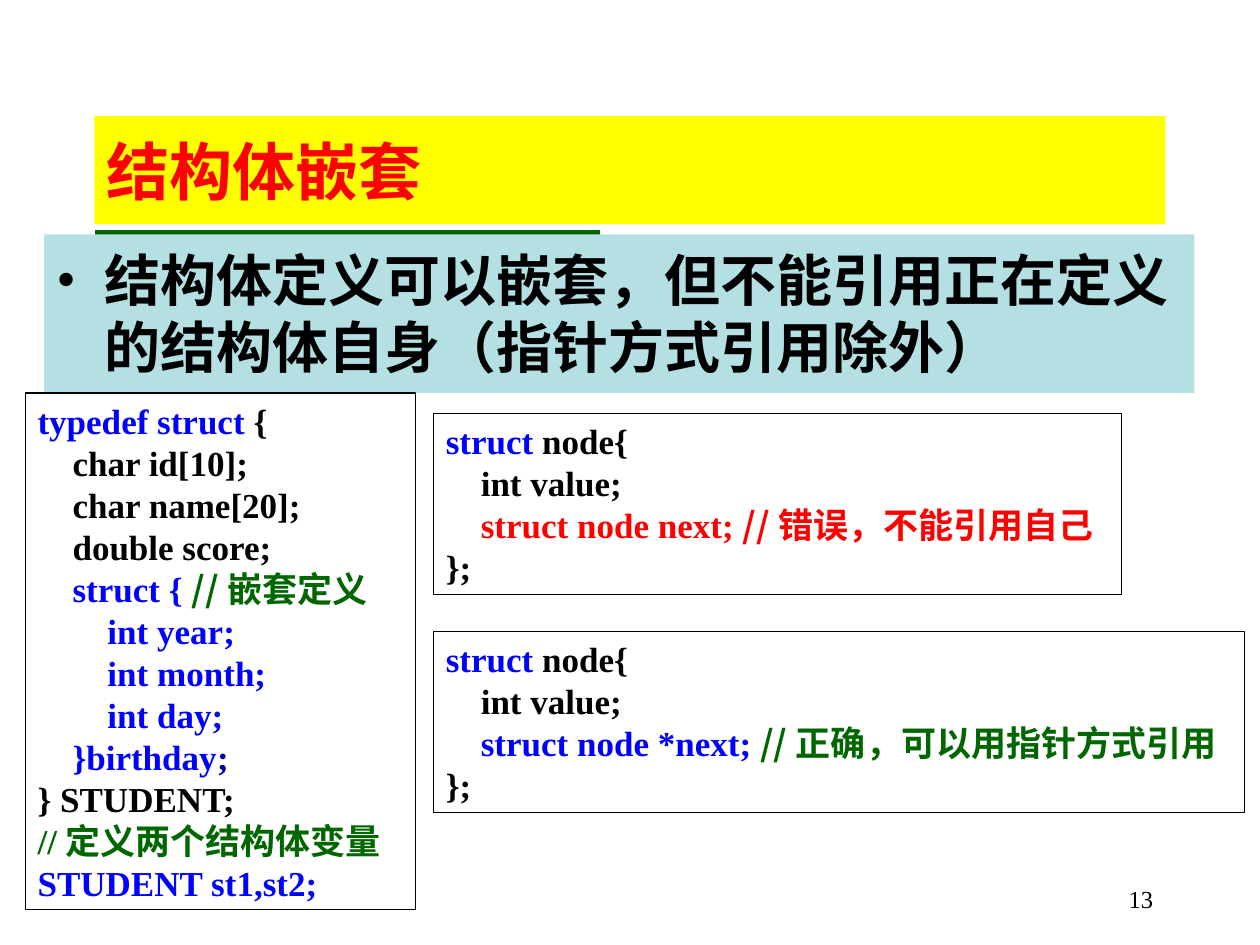
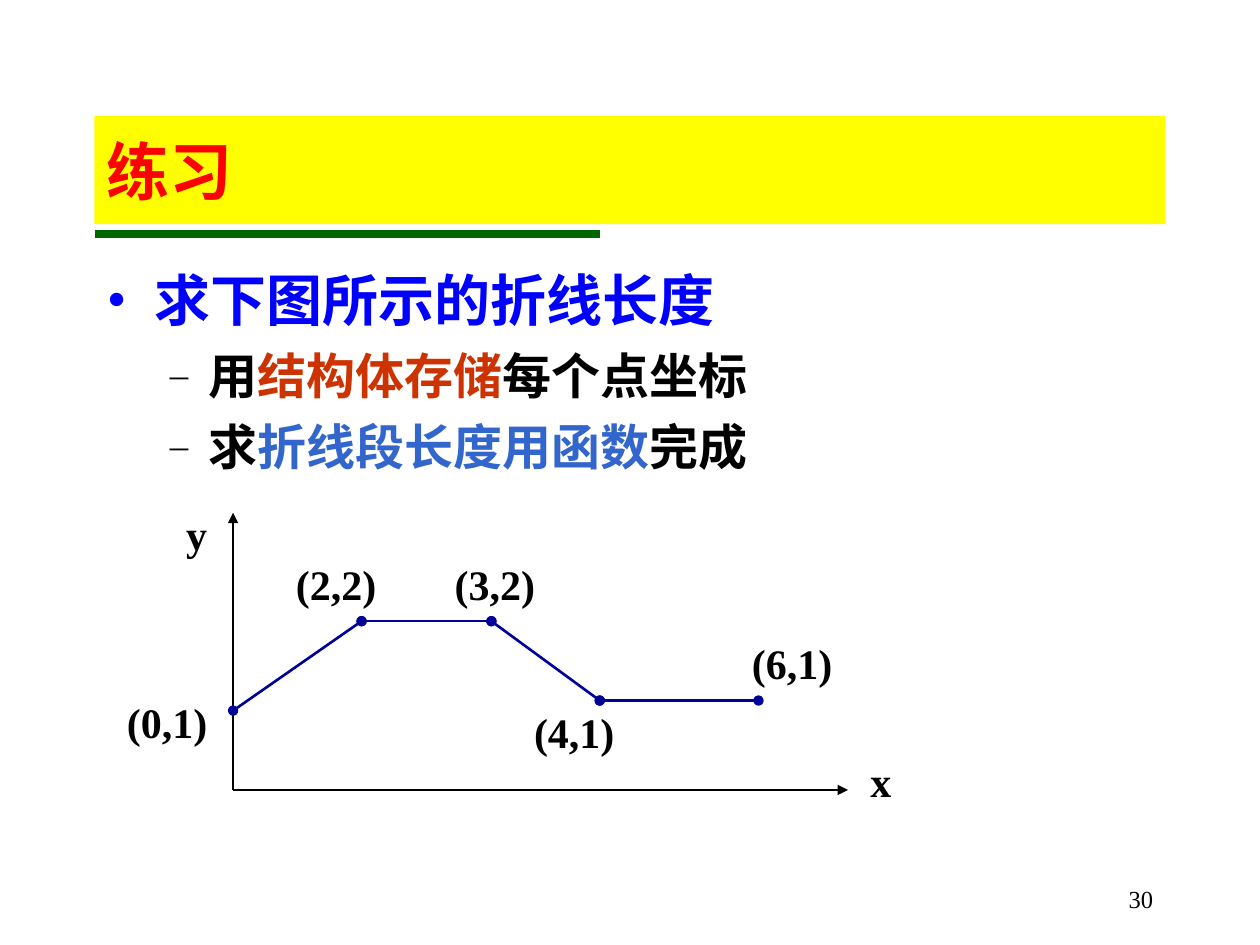
from itertools import pairwise

from lxml import etree
from pptx import Presentation
from pptx import util as u
from pptx.dml.color import RGBColor
from pptx.enum import shapes, text
from pptx.oxml.ns import qn

HEX = {
    "black": "000000", "red": "FF0000", "blue": "0000FF", "navy": "000099",
    "green": "006600", "yellow": "FFFF00", "pale": "B5E0E3",
    "rust": "CC3300", "steel": "3366CC",
}
LATIN, HAN = "Times New Roman", "Noto Sans CJK SC"


def color(name):
    return RGBColor.from_string(HEX[name])


def add(parent, tag, **attrs):
    return etree.SubElement(parent, qn(tag), attrs)


class Deck:
    """Holds the shared style and the current slide."""

    def __init__(self):
        self.prs = Presentation()
        self.prs.slide_width, self.prs.slide_height = u.Inches(10), u.Inches(7.5)
        self.slide = None

    def page(self, title, number):
        """Start a slide with its rule, title band and page number."""
        self.slide = self.prs.slides.add_slide(self.prs.slide_layouts[6])
        self.line((0.75, 1.86), (4.76, 1.86), "green", 4.5)
        band = self.box((0.75, 0.92, 8.5, 0.86), fill="yellow")
        band.text_frame.vertical_anchor = text.MSO_ANCHOR.MIDDLE
        self.put(band, [[(title, "red")]], 36)
        foot = self.box((7.17, 6.92, 2.08, 0.38))
        foot.text_frame.vertical_anchor = text.MSO_ANCHOR.BOTTOM
        self.put(foot, [[(number, "black")]], 14, bold=False)
        foot.text_frame.paragraphs[0].alignment = text.PP_ALIGN.RIGHT

    def box(self, area, fill=None, edge=None, wrap=True):
        shape = self.slide.shapes.add_shape(
            shapes.MSO_SHAPE.RECTANGLE, *map(u.Inches, area))
        shape.shadow.inherit = False
        if fill:
            shape.fill.solid()
            shape.fill.fore_color.rgb = color(fill)
        else:
            shape.fill.background()
        if edge:
            shape.line.color.rgb = color(edge)
            shape.line.width = u.Pt(0.75)
        else:
            shape.line.fill.background()
        shape.text_frame.word_wrap = wrap
        shape.text_frame.vertical_anchor = text.MSO_ANCHOR.TOP
        return shape

    def fill_para(self, para, runs, size, bold=True):
        para.alignment = text.PP_ALIGN.LEFT
        para.line_spacing = u.Pt(size * 1.2)
        for words, tint in runs:
            run = para.add_run()
            run.text = words
            font = run.font
            font.size, font.bold = u.Pt(size), bold
            font.color.rgb = color(tint)
            font.name = LATIN if words.isascii() else HAN
            add(run._r.get_or_add_rPr(), "a:ea", typeface=HAN)

    def put(self, shape, lines, size, bold=True):
        """Set the shape's text, one list of (words, tint) runs a line."""
        frame = shape.text_frame
        for i, runs in enumerate(lines):
            para = frame.add_paragraph() if i else frame.paragraphs[0]
            self.fill_para(para, runs, size, bold)

    def body(self, area, items, fill=None):
        """Bulleted text; each item is (level, runs)."""
        frame = self.box(area, fill).text_frame
        frame.margin_top = u.Inches(0.09)
        for i, (level, runs) in enumerate(items):
            para = frame.add_paragraph() if i else frame.paragraphs[0]
            size, left, hang, mark = [(32, 0.38, 0.38, "•"),
                                      (28, 0.81, 0.31, "–")][level]
            para.level = level
            if i:
                para.space_before = u.Pt(size / 4)
            para.line_spacing = u.Pt(size * 1.2)
            props = para._p.get_or_add_pPr()
            props.set("marL", str(u.Inches(left)))
            props.set("indent", str(-u.Inches(hang)))
            add(add(props, "a:buClr"), "a:srgbClr", val=HEX[runs[0][1]])
            if level:
                add(props, "a:buSzPct", val="75000")
            add(props, "a:buFont", typeface=LATIN)
            add(props, "a:buChar", char=mark)
            self.fill_para(para, runs, size)

    def code(self, area, lines, wrap=False):
        self.put(self.box(area, edge="black", wrap=wrap), lines, 20)

    def label(self, words, x, y, width=0.84):
        self.put(self.box((x, y, width, 0.5), wrap=False),
                 [[(words, "black")]], 24)

    def line(self, start, end, tint, width=1.5, head=None, tail=None):
        link = self.slide.shapes.add_connector(
            shapes.MSO_CONNECTOR.STRAIGHT, *map(u.Inches, start + end))
        link.line.color.rgb = color(tint)
        link.line.width = u.Pt(width)
        stroke = link.line._get_or_add_ln()
        for tag, kind in (("a:headEnd", head), ("a:tailEnd", tail)):
            if kind:
                add(stroke, tag, type=kind)
        add(link._element.spPr, "a:effectLst")


def node(field, tint, note, shade):
    """Code of a node struct whose third line is the one discussed."""
    return [
        [("struct", "blue"), (" node{", "black")],
        [("    int value;", "black")],
        [(f"    {field} ", tint), (note, shade)],
        [("};", "black")],
    ]


def nesting(deck):
    deck.page("结构体嵌套", "13")
    deck.body((0.35, 1.86, 9.13, 1.26), [
        (0, [("结构体定义可以嵌套，但不能引用正在定义的结构体自身（指针方式引用除外）",
              "black")]),
    ], fill="pale")
    deck.code((0.2, 3.12, 3.1, 4.1), [
        [("typedef struct", "blue"), (" {", "black")],
        [("    char id[10];", "black")],
        [("    char name[20];", "black")],
        [("    double score;", "black")],
        [("    struct { ", "blue"), ("//嵌套定义", "green")],
        [("        int year;", "blue")],
        [("        int month;", "blue")],
        [("        int day;", "blue")],
        [("    }birthday", "blue"), (";", "navy")],
        [("} STUDENT;", "black")],
        [("//", "green"), ("定义两个结构体变量", "green")],
        [("STUDENT st1,st2;", "blue")],
    ], wrap=True)
    deck.code((3.44, 3.28, 5.46, 1.44),
              node("struct node next;", "red", "//错误，不能引用自己", "red"))
    deck.code((3.44, 5.01, 6.44, 1.44),
              node("struct node *next;", "blue",
                   "//正确，可以用指针方式引用", "green"))


def practice(deck):
    deck.page("练习", "30")
    deck.body((0.75, 2.02, 8.74, 1.97), [
        (0, [("求下图所示的折线长度", "blue")]),
        (1, [("用", "black"), ("结构体存储", "rust"), ("每个点坐标", "black")]),
        (1, [("求", "black"), ("折线段长度用函数", "steel"), ("完成", "black")]),
    ])
    origin = (1.85, 6.27)
    for tip in ((6.73, 6.27), (1.85, 4.07)):
        deck.line(origin, tip, "black", tail="triangle")
    deck.label("y", 1.38, 3.99, 0.36)
    deck.label("x", 6.81, 5.95, 0.36)
    # Each point: position, then its label and the label's position
    points = [
        ((1.85, 5.64), "(0,1)", 0.91, 5.48),
        ((2.87, 4.93), "(2,2)", 2.25, 4.38),
        ((3.9, 4.93), "(3,2)", 3.51, 4.38),
        ((4.76, 5.56), "(4,1)", 4.14, 5.56),
        ((6.02, 5.56), "(6,1)", 5.87, 5.01),
    ]
    for (start, *_), (end, *_) in pairwise(points):
        deck.line(start, end, "navy", head="oval", tail="oval")
    for _, *tag in points:
        deck.label(*tag)


def main():
    deck = Deck()
    nesting(deck)
    practice(deck)
    deck.prs.save("out.pptx")


if __name__ == "__main__":
    main()
